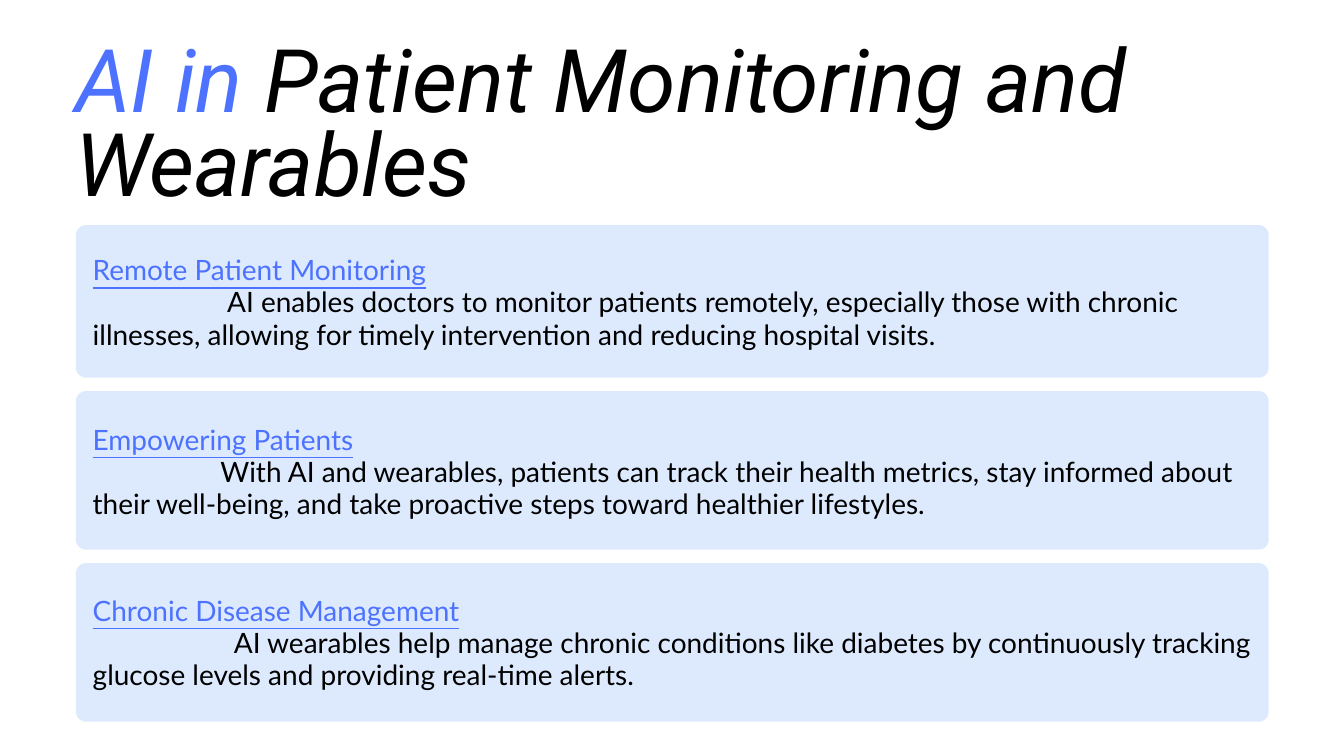
from pptx import Presentation
from pptx.dml.color import RGBColor
from pptx.enum.shapes import MSO_SHAPE
from pptx.enum.text import PP_ALIGN
from pptx.util import Inches, Pt

ROUNDED = MSO_SHAPE.ROUNDED_RECTANGLE
LEFT = PP_ALIGN.LEFT
BLUE, BLACK, PALE = "4C72FF", "000000", "DDEAFD"


def color(hex_string):
    return RGBColor.from_string(hex_string)


def add_text(left, top, width, height, paragraphs, font, size):
    """Each paragraph is (line spacing, [(text, colour), ...])."""
    frame = slide.shapes.add_textbox(
        Inches(left), Inches(top), Inches(width), Inches(height)).text_frame
    frame.word_wrap = True
    frame.margin_left = frame.margin_right = 0
    frame.margin_top = frame.margin_bottom = 0
    for i, (spacing, runs) in enumerate(paragraphs):
        paragraph = frame.paragraphs[0] if i == 0 else frame.add_paragraph()
        paragraph.alignment = LEFT
        paragraph.line_spacing = Pt(spacing)
        for text, hex_string in runs:
            run = paragraph.add_run()
            run.text = text
            run.font.name = font
            run.font.size = Pt(size)
            run.font.color.rgb = color(hex_string)
    return frame.paragraphs


prs = Presentation()
prs.slide_width, prs.slide_height = Inches(20), Inches(11.25)
slide = prs.slides.add_slide(prs.slide_layouts[6])

# Title
title = add_text(1.12, 0.68, 17.75, 2.58,
                 [(90.2, [("AI in", BLUE),
                          (" Patient Monitoring and Wearables", BLACK)])],
                 "Roboto", 94)
title[0].font.italic = True
for run in title[0].runs:
    run.font.italic = True

# Cards: top, height, text top, first-line indent, heading, body
cards = [
    (3.35, 2.27, 3.57, 2.0, "Remote Patient Monitoring",
     "AI enables doctors to monitor patients remotely, especially those with "
     "chronic illnesses, allowing for timely intervention and reducing "
     "hospital visits."),
    (5.82, 2.36, 6.09, 1.9, "Empowering Patients",
     "With AI and wearables, patients can track their health metrics, stay "
     "informed about their well-being, and take proactive steps toward "
     "healthier lifestyles."),
    (8.38, 2.36, 8.64, 2.1, "Chronic Disease Management",
     "AI wearables help manage chronic conditions like diabetes by "
     "continuously tracking glucose levels and providing real-time alerts."),
]
CORNER = 0.15
for top, height, text_top, indent, heading, body in cards:
    card = slide.shapes.add_shape(
        ROUNDED, Inches(1.13), Inches(top), Inches(17.75), Inches(height))
    card.adjustments[0] = CORNER / height
    card.shadow.inherit = False
    card.fill.solid()
    card.fill.fore_color.rgb = color(PALE)
    card.line.fill.background()

    heading_line, body_line = add_text(
        1.38, text_top, 17.24, 1.7,
        [(49.8, [(heading, BLUE)]), (34.5, [(body, BLACK)])], "Lato", 30)
    heading_line.runs[0].font.underline = True
    # The body starts further in on its first line only
    properties = body_line._p.get_or_add_pPr()
    properties.set("marL", "0")
    properties.set("indent", str(Inches(indent)))

prs.save("out.pptx")
